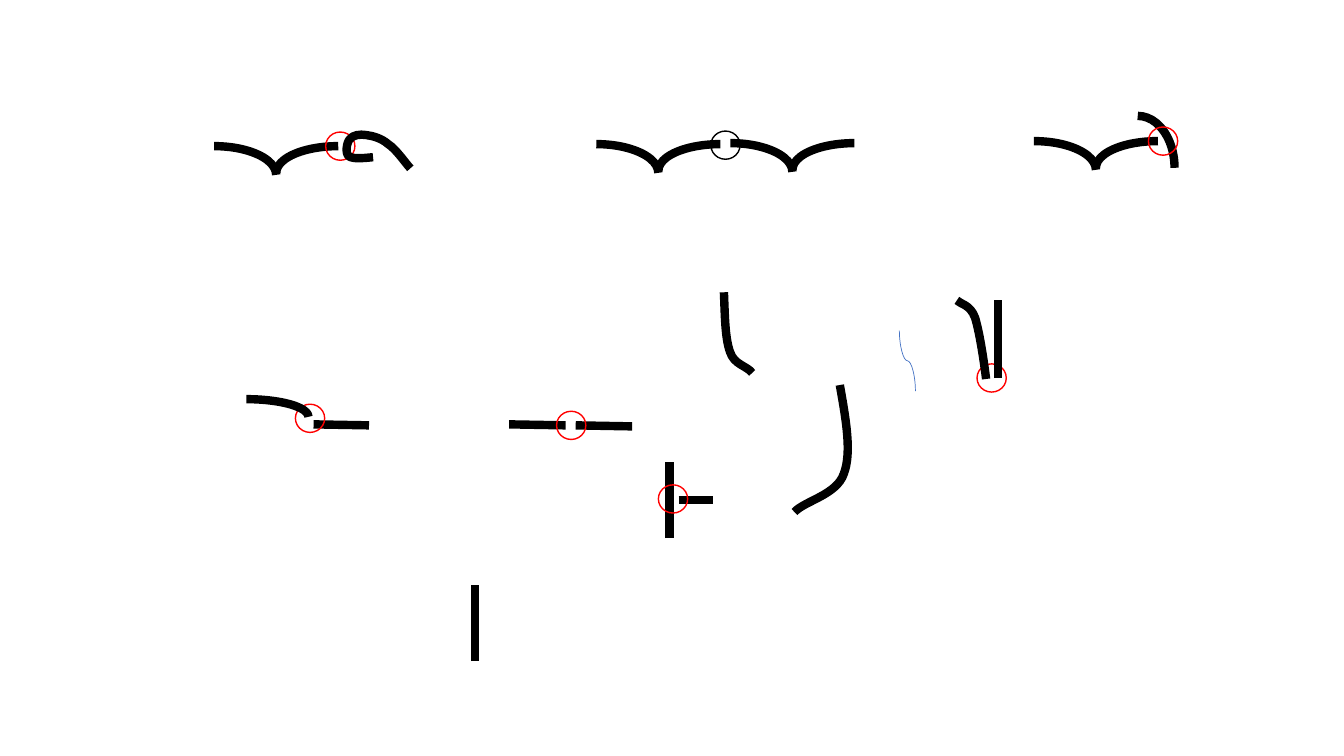
from itertools import islice

from lxml import etree
from pptx import Presentation
from pptx.dml.color import RGBColor
from pptx.enum import shapes
from pptx.oxml import ns
from pptx.util import Inches, Pt

BLACK, RED, BLUE = "000000", "FF0000", "4472C4"
RING_SIZE = (0.29, 0.28)
WING_WIDTH, LEFT_WING, RIGHT_WING = 1.23, 0.57, 0.53

# Each group is listed from back to front:
# line: x1, y1, x2, y2    ring: left, top, colour    arc: left, top, width, height
# wings: left, top        curve: start point, then control, control, end triples
GROUPS = [
    [("line", 3.11, 4.21, 3.66, 4.22),
     ("ring", 2.93, 4.01, RED),
     ("arc", 1.83, 3.96, 1.23, 0.35)],
    [("line", 5.05, 4.21, 5.61, 4.22),
     ("line", 5.71, 4.22, 6.27, 4.23),
     ("ring", 5.52, 4.08, RED)],
    [("line", 6.64, 5.34, 6.64, 4.58),
     ("line", 6.73, 4.96, 7.07, 4.96),
     ("ring", 6.53, 4.81, RED)],
    [("wings", 5.3, 1.43),
     ("wings", 6.63, 1.42),
     ("ring", 7.05, 1.3, BLACK)],
    [("wings", 9.64, 1.4),
     ("arc", 10.92, 1.15, 0.73, 1.03),
     ("ring", 11.39, 1.26, RED)],
    [("wings", 1.51, 1.45),
     ("ring", 3.23, 1.31, RED),
     ("curve", (3.7, 1.56), (3.6, 1.57), (3.5, 1.58), (3.46, 1.55),
      (3.42, 1.52), (3.44, 1.41), (3.47, 1.38),
      (3.5, 1.34), (3.57, 1.33), (3.63, 1.34),
      (3.7, 1.35), (3.78, 1.37), (3.85, 1.43),
      (3.93, 1.48), (4.03, 1.63), (4.07, 1.67))],
]
LOOSE = [
    ("line", 4.71, 6.56, 4.71, 5.8),
    ("curve", (7.18, 2.9), (7.19, 3.13), (7.19, 3.35), (7.24, 3.49),
     (7.28, 3.62), (7.41, 3.63), (7.46, 3.7)),
    ("s_connector", 9.3, 3.5, 8.7, 3.66),
    ("curve", (8.33, 3.82), (8.39, 4.16), (8.45, 4.49), (8.37, 4.7),
     (8.3, 4.91), (7.98, 4.97), (7.88, 5.08)),
]
LAST_GROUP = [
    ("ring", 9.69, 3.61, RED),
    ("line", 9.9, 3.75, 9.9, 2.98),
    ("curve", (9.78, 3.76), (9.75, 3.52), (9.71, 3.28), (9.67, 3.15),
     (9.62, 3.02), (9.53, 3.02), (9.49, 2.98)),
]


def rgb(colour):
    return RGBColor.from_string(colour)


def outline(shape, colour=BLACK, width=6):
    shape.line.color.rgb = rgb(colour)
    shape.line.width = Pt(width)


def connect(parent, kind, ends, **stroke):
    connector = parent.add_connector(kind, *map(Inches, ends))
    outline(connector, **stroke)
    etree.SubElement(connector._element.spPr, ns.qn("a:effectLst"))
    return connector


def draw_line(parent, *ends):
    connect(parent, shapes.MSO_CONNECTOR.STRAIGHT, ends)


def draw_s_connector(parent, *ends):
    connector = connect(parent, shapes.MSO_CONNECTOR.CURVE, ends, colour=BLUE, width=0.5)
    connector._element.spPr.xfrm.set("rot", str(270 * 60000))


def hollow(shape, **stroke):
    shape.shadow.inherit = False
    shape.fill.background()
    outline(shape, **stroke)


def draw_ring(parent, left, top, colour):
    ring = parent.add_shape(shapes.MSO_SHAPE.OVAL, *map(Inches, (left, top, *RING_SIZE)))
    hollow(ring, colour=colour, width=1)


def draw_arc(parent, *frame, mirrored=False):
    arc = parent.add_shape(shapes.MSO_SHAPE.ARC, *map(Inches, frame))
    hollow(arc)
    if mirrored:
        arc._element.spPr.xfrm.set("flipH", "1")


def draw_wings(parent, left, top):
    """Two arcs that meet in a downward point."""
    draw_arc(parent, left, top, WING_WIDTH, LEFT_WING)
    draw_arc(parent, left + WING_WIDTH, top, WING_WIDTH, RIGHT_WING, mirrored=True)


def draw_curve(parent, start, *points):
    """Freeform whose straight steps are regrouped, three by three, as Bezier segments."""
    builder = parent.build_freeform(*map(Inches, start))
    builder.add_line_segments([tuple(map(Inches, point)) for point in points], close=False)
    curve = builder.convert_to_shape()
    hollow(curve)
    outline_path = curve._element.spPr.find(".//" + ns.qn("a:path"))
    steps = iter(outline_path.findall(ns.qn("a:lnTo")))
    while triple := list(islice(steps, 3)):
        segment = etree.SubElement(outline_path, ns.qn("a:cubicBezTo"))
        for step in triple:
            segment.append(step[0])
            outline_path.remove(step)


DRAW = {"line": draw_line, "ring": draw_ring, "arc": draw_arc, "wings": draw_wings,
        "curve": draw_curve, "s_connector": draw_s_connector}


def draw_all(parent, parts):
    for kind, *values in parts:
        DRAW[kind](parent, *values)


def main():
    deck = Presentation()
    deck.slide_width, deck.slide_height = Inches(13.33), Inches(7.5)
    page = deck.slides.add_slide(deck.slide_layouts[6])
    for parts in GROUPS:
        draw_all(page.shapes.add_group_shape().shapes, parts)
    draw_all(page.shapes, LOOSE)
    draw_all(page.shapes.add_group_shape().shapes, LAST_GROUP)
    deck.save("out.pptx")


if __name__ == "__main__":
    main()
